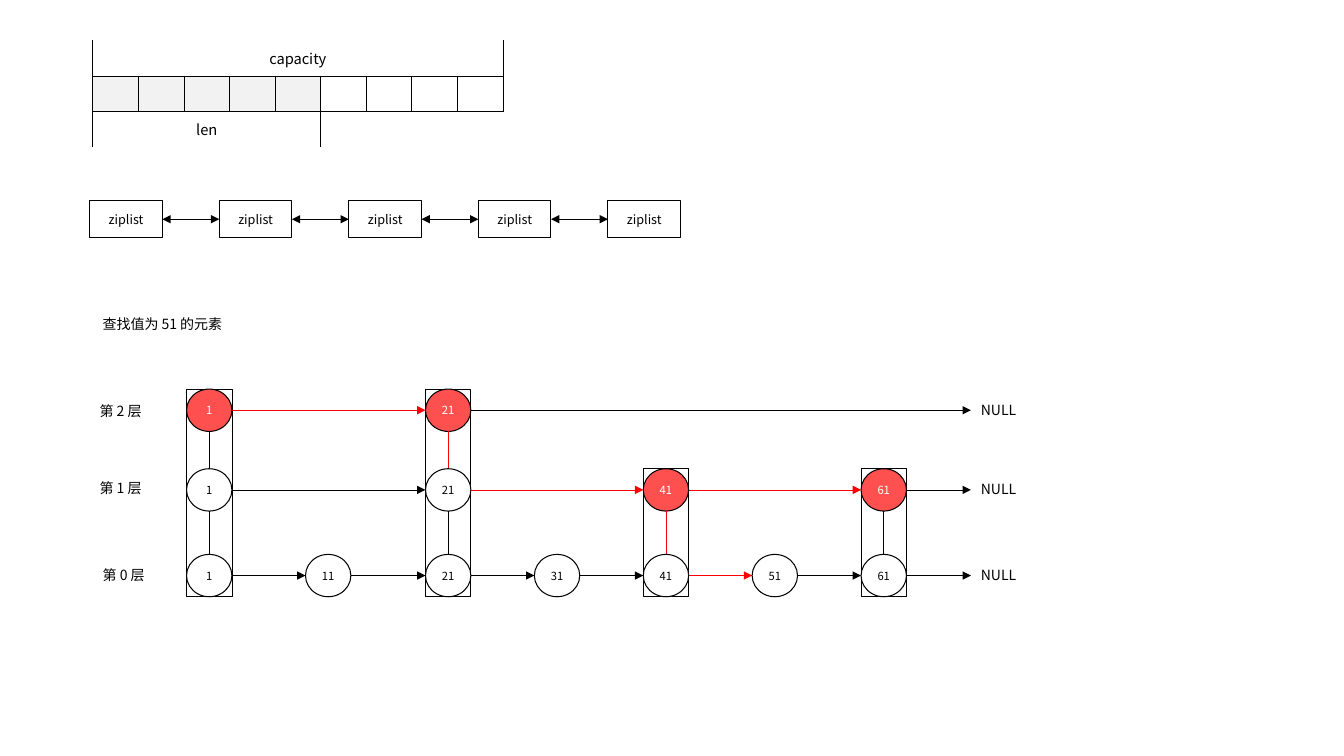
from lxml import etree
from pptx import Presentation
from pptx.dml.color import RGBColor
from pptx.enum.shapes import MSO_CONNECTOR, MSO_SHAPE
from pptx.enum.text import MSO_ANCHOR, PP_ALIGN
from pptx.oxml.ns import qn
from pptx.util import Inches, Pt

LINE = MSO_CONNECTOR.STRAIGHT
RECTANGLE, OVAL = MSO_SHAPE.RECTANGLE, MSO_SHAPE.OVAL
MIDDLE = MSO_ANCHOR.MIDDLE
LEFT, CENTER = PP_ALIGN.LEFT, PP_ALIGN.CENTER

BLACK = RGBColor(0x00, 0x00, 0x00)
WHITE = RGBColor(0xFF, 0xFF, 0xFF)
GREY = RGBColor(0xF2, 0xF2, 0xF2)
RED = RGBColor(0xFF, 0x00, 0x00)
CORAL = RGBColor(0xFF, 0x50, 0x50)
FONT = "Noto Sans CJK SC"

NODE_WIDTH, NODE_HEIGHT = 0.45, 0.42
NODE_LEFTS = {1: 0.96, 11: 2.14, 21: 3.33, 31: 4.41, 41: 5.49, 51: 6.57, 61: 7.65}
LEVELS = [
    ("第 2 层", 0, 0.86, 0.78, [1, 21]),
    ("第 1 层", 0, 1.63, 1.57, [1, 21, 41, 61]),
    ("第 0 层", 0.03, 2.49, 2.42, [1, 11, 21, 31, 41, 51, 61]),
]
VISITED_NODES = {(0, 1), (0, 21), (1, 41), (1, 61)}
VISITED_LINKS = {(0, 21), (1, 41), (1, 61), (2, 51)}
VISITED_DROPS = {(0, 21), (1, 41)}


def write_text(frame, text, size, color=BLACK, alignment=CENTER):
    """Fill a text frame with one paragraph in the slide's font."""
    frame.text = text
    paragraph = frame.paragraphs[0]
    paragraph.alignment = alignment
    paragraph.font.size = Pt(size)
    paragraph.font.name = FONT
    paragraph.font.color.rgb = color
    properties = paragraph._p.pPr.find(qn("a:defRPr"))
    etree.SubElement(properties, qn("a:ea"), typeface=FONT)


def add_label(slide, left, top, width, text):
    """Add a left-aligned text box."""
    shape = slide.shapes.add_textbox(Inches(left), Inches(top), Inches(width), Inches(0.27))
    frame = shape.text_frame
    frame.word_wrap = True
    frame.margin_top = frame.margin_bottom = 0
    frame.vertical_anchor = MIDDLE
    write_text(frame, text, 10, alignment=LEFT)


def add_box(slide, kind, box, weight, fill=WHITE):
    """Add an outlined shape and return it."""
    shape = slide.shapes.add_shape(kind, *map(Inches, box))
    shape.shadow.inherit = False
    shape.fill.solid()
    shape.fill.fore_color.rgb = fill
    shape.line.color.rgb = BLACK
    shape.line.width = Pt(weight)
    return shape


def add_node(slide, kind, box, text, size, fill=WHITE, color=BLACK):
    """Add a shape holding a centred value."""
    frame = add_box(slide, kind, box, 0.75, fill).text_frame
    frame.margin_left = frame.margin_right = frame.margin_top = frame.margin_bottom = 0
    frame.vertical_anchor = MIDDLE
    write_text(frame, text, size, color)


def add_line(slide, start, end, color=BLACK, ends=()):
    """Add a thin connector with triangles at the given ends."""
    connector = slide.shapes.add_connector(LINE, *map(Inches, (*start, *end)))
    connector.line.color.rgb = color
    connector.line.width = Pt(0.5)
    for end_name in ends:
        etree.SubElement(connector.line._get_or_add_ln(), qn(f"a:{end_name}"), type="triangle")
    etree.SubElement(connector._element.spPr, qn("a:effectLst"))


def set_borders(cell, sides):
    """Draw the named sides of a cell and hide the others."""
    properties = cell._tc.get_or_add_tcPr()
    for index, side in enumerate("LRTB"):
        border = etree.Element(qn(f"a:ln{side}"), w=str(Pt(0.5)))
        if side in sides:
            fill = etree.SubElement(border, qn("a:solidFill"))
            etree.SubElement(fill, qn("a:srgbClr"), val=str(BLACK))
        else:
            etree.SubElement(border, qn("a:noFill"))
        properties.insert(index, border)


def add_buffer(slide, left, top, width, height, capacity=9, used=5):
    """Draw the string buffer with its capacity and used length."""
    frame = slide.shapes.add_table(3, capacity, *map(Inches, (left, top, width, height)))
    table = frame.table
    table.first_row = table.horz_banding = False
    for row in range(3):
        for column in range(capacity):
            cell = table.cell(row, column)
            text = {(0, 0): "capacity", (2, 0): "len"}.get((row, column), "")
            write_text(cell.text_frame, text, 10.5)
            cell.margin_top = cell.margin_bottom = 0
            cell.vertical_anchor = MIDDLE
            cell.fill.solid()
            cell.fill.fore_color.rgb = GREY if row == 1 and column < used else WHITE
            tail_sides = "LRT" if column < used else "LT" if column == used else "T"
            set_borders(cell, ("LRB", "LRTB", tail_sides)[row])
    table.cell(0, 0).merge(table.cell(0, capacity - 1))
    table.cell(2, 0).merge(table.cell(2, used - 1))


def add_quicklist(slide, left, top, width, height, count=5):
    """Draw a row of ziplists joined by two-way arrows."""
    box_width = 0.72
    step = (width - box_width) / (count - 1)
    middle = top + height / 2
    for index in range(count):
        x = left + index * step
        add_node(slide, RECTANGLE, (x, top, box_width, height), "ziplist", 9)
        if index:
            add_line(slide, (x - step + box_width, middle), (x, middle),
                     ends=("headEnd", "tailEnd"))


def add_skiplist(slide, left, top, width):
    """Draw the skip list and mark the search path in red."""
    bottom = top + LEVELS[-1][3] + NODE_HEIGHT
    null_left = left + width - 1.51
    add_label(slide, left + 0.03, top, 1.51, "查找值为 51 的元素")
    for value in (61, 41, 21, 1):
        tower_top = top + min(level[3] for level in LEVELS if value in level[4])
        add_box(slide, RECTANGLE,
                (left + NODE_LEFTS[value], tower_top, NODE_WIDTH, bottom - tower_top), 0.5)
    for row, (label, indent, label_top, node_top, values) in enumerate(LEVELS):
        y = top + node_top
        middle = y + NODE_HEIGHT / 2
        add_label(slide, left + indent, top + label_top, 1.01, label)
        add_label(slide, null_left, middle - 0.14, 1.51, "NULL")
        stops = [left + NODE_LEFTS[value] for value in values] + [null_left]
        for value, x, target, target_x in zip(values, stops, values[1:] + [None], stops[1:]):
            visited = (row, value) in VISITED_NODES
            add_node(slide, OVAL, (x, y, NODE_WIDTH, NODE_HEIGHT), str(value), 8,
                     CORAL if visited else WHITE, WHITE if visited else BLACK)
            add_line(slide, (x + NODE_WIDTH, middle), (target_x, middle),
                     RED if (row, target) in VISITED_LINKS else BLACK, ("tailEnd",))
            if row < len(LEVELS) - 1:
                center = x + NODE_WIDTH / 2
                add_line(slide, (center, y + NODE_HEIGHT), (center, top + LEVELS[row + 1][3]),
                         RED if (row, value) in VISITED_DROPS else BLACK)


def main():
    """Build the slide and save it."""
    presentation = Presentation()
    presentation.slide_width, presentation.slide_height = Inches(13.33), Inches(7.5)
    slide = presentation.slides.add_slide(presentation.slide_layouts[6])
    add_buffer(slide, 0.92, 0.4, 4.07, 1.06)
    add_quicklist(slide, 0.89, 1.99, 5.86, 0.37)
    add_skiplist(slide, 0.89, 3.08, 10.25)
    presentation.save("out.pptx")


if __name__ == "__main__":
    main()
